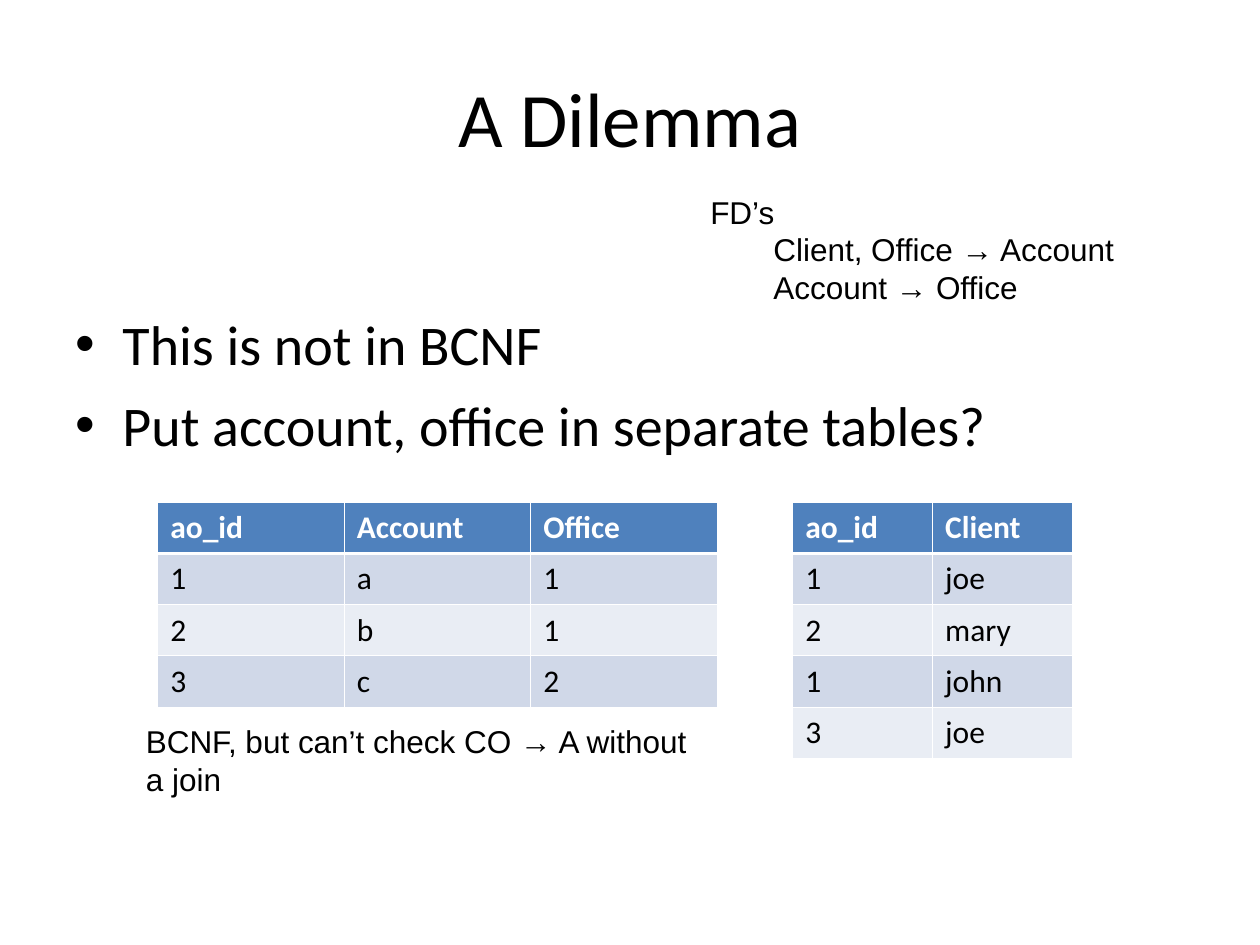
from lxml.etree import SubElement as Sub
from pptx import Presentation
from pptx.dml.color import RGBColor as RGB
from pptx.enum.text import MSO_ANCHOR as Anchor, PP_ALIGN as Align
from pptx.oxml.ns import qn
from pptx.util import Cm, Pt

COLORS = {
    "text": "000000",
    "white": "FFFFFF",
    "head": "4F81BD",
    "odd": "D0D8E8",
    "even": "E9EDF4",
}
THIN, THICK = 0.45, 1.47
ROW = 1.03


def color(name):
    return RGB.from_string(COLORS[name])


def write(frame, text, size=18, font="Calibri", ink="text", bold=False,
          align=Align.LEFT, before=0, left=0, hang=0, bullet=None, first=True):
    """Put one formatted paragraph into a text frame."""
    para = frame.paragraphs[0] if first else frame.add_paragraph()
    para.alignment = align
    para.space_before = Pt(before)
    props = para._p.get_or_add_pPr()
    props.set("marL", str(Cm(left)))
    props.set("indent", str(-Cm(hang)))
    if bullet:
        Sub(props, qn("a:buFont")).set("typeface", "Arial")
        Sub(props, qn("a:buChar")).set("char", bullet)
    run = para.add_run()
    run.text = text
    run.font.size = Pt(size)
    run.font.name = font
    run.font.bold = bold
    run.font.color.rgb = color(ink)


def add_box(slide, box):
    frame = slide.shapes.add_textbox(*map(Cm, box)).text_frame
    frame.word_wrap = True
    return frame


def add_title(slide, box):
    frame = add_box(slide, box)
    frame.vertical_anchor = Anchor.MIDDLE
    write(frame, "A Dilemma", size=44, align=Align.CENTER)


def add_points(slide, box, points):
    """Bulleted list that starts one line below the top of its box."""
    frame = add_box(slide, box)
    frame.margin_top = Cm(1.79)
    for i, point in enumerate(points):
        write(frame, point, size=32, before=8, left=0.95, hang=0.95,
              bullet="•", first=i == 0)


def add_rules(slide, box, head, rules):
    frame = add_box(slide, box)
    write(frame, head, font="Arial")
    for rule in rules:
        write(frame, rule, font="Arial", left=1.27, first=False)


def add_note(slide, box, text):
    write(add_box(slide, box), text, font="Arial")


def set_edges(cell, top, bottom):
    props = cell._tc.get_or_add_tcPr()
    for side, width in zip("LRTB", (THIN, THIN, top, bottom)):
        line = Sub(props, qn("a:ln" + side), w=str(Pt(width)))
        fill = Sub(line, qn("a:solidFill"))
        Sub(fill, qn("a:srgbClr")).set("val", COLORS["white"])


def add_grid(slide, left, top, wide, rows):
    """Table with equal columns, a dark header and banded rows."""
    count = len(rows[0])
    frame = slide.shapes.add_table(
        len(rows), count, Cm(left), Cm(top),
        Cm(wide * count), Cm(ROW * len(rows)))
    grid = frame.table
    for col in grid.columns:
        col.width = Cm(wide)
    for r, row in enumerate(rows):
        grid.rows[r].height = Cm(ROW)
        head = r == 0
        fill = "head" if head else "odd" if r % 2 else "even"
        for c, text in enumerate(row):
            cell = grid.cell(r, c)
            set_edges(cell, THICK if r == 1 else THIN, THICK if head else THIN)
            cell.fill.solid()
            cell.fill.fore_color.rgb = color(fill)
            write(cell.text_frame, text, bold=head,
                  ink="white" if head else "text")


def main():
    deck = Presentation()
    deck.slide_width, deck.slide_height = Cm(25.4), Cm(19.05)
    slide = deck.slides.add_slide(deck.slide_layouts[6])
    add_title(slide, (1.27, 0.76, 22.86, 3.18))
    add_points(slide, (1.27, 4.45, 22.86, 12.57), [
        "This is not in BCNF",
        "Put account, office in separate tables?",
    ])
    add_grid(slide, 3.18, 10.13, 3.76, [
        ("ao_id", "Account", "Office"),
        ("1", "a", "1"),
        ("2", "b", "1"),
        ("3", "c", "2"),
    ])
    add_grid(slide, 15.98, 10.13, 2.82, [
        ("ao_id", "Client"),
        ("1", "joe"),
        ("2", "mary"),
        ("1", "john"),
        ("3", "joe"),
    ])
    add_note(slide, (2.69, 14.43, 11.79, 1.78),
             "BCNF, but can’t check CO → A without a join")
    add_rules(slide, (14.07, 3.76, 12.7, 2.54), "FD’s",
              ["Client, Office → Account", "Account → Office"])
    deck.save("out.pptx")


if __name__ == "__main__":
    main()
